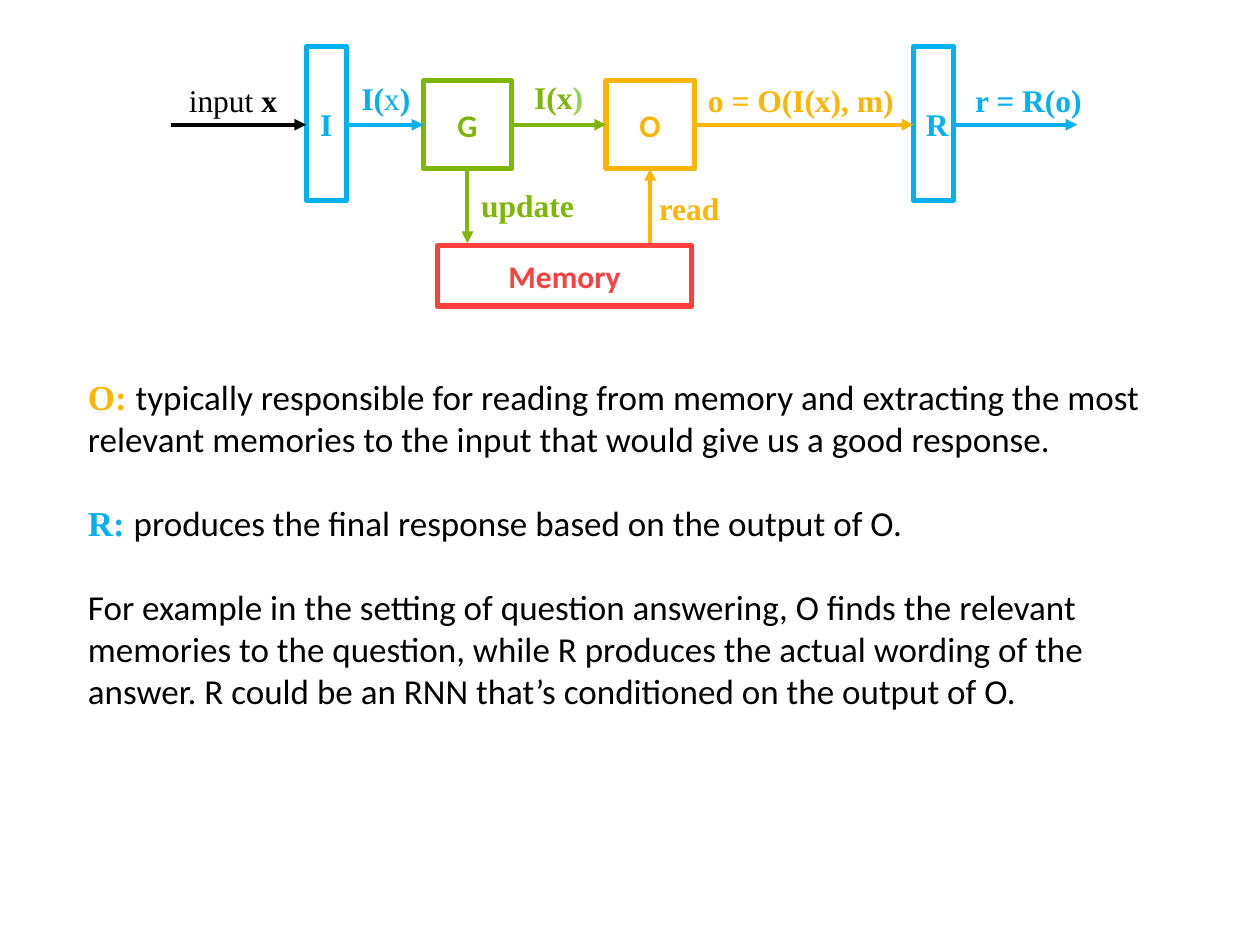
import lxml.etree
import pptx
import pptx.dml.color
import pptx.enum.shapes
import pptx.enum.text
import pptx.oxml.ns
import pptx.util
from pptx.util import Inches

RGBColor = pptx.dml.color.RGBColor
BLACK = RGBColor(0x00, 0x00, 0x00)
BLUE = RGBColor(0x00, 0xB0, 0xF0)
GREEN = RGBColor(0x7E, 0xB6, 0x06)
LIGHT_GREEN = RGBColor(0x92, 0xD0, 0x50)
ORANGE = RGBColor(0xFF, 0xB4, 0x00)
RED = RGBColor(0xFF, 0x40, 0x40)
SERIF = "Times New Roman"
SANS = "Calibri"
FLOW_Y = 0.99
MEMORY_Y = 1.93
MODULE_BOTTOM = 1.34


def add_span(para, text, color, bold, font_name, size):
    span = para.add_run()
    span.text = text
    span.font.name = font_name
    span.font.size = pptx.util.Pt(size)
    span.font.bold = bold
    span.font.color.rgb = color


deck = pptx.Presentation()
deck.slide_width = Inches(10)
deck.slide_height = Inches(7.5)
page = deck.slides.add_slide(deck.slide_layouts[6])

modules = [
    ("I", 2.43, 0.37, 0.32, 1.22, BLUE, SERIF),
    ("G", 3.36, 0.64, 0.7, 0.7, GREEN, SANS),
    ("O", 4.81, 0.64, 0.7, 0.7, ORANGE, SANS),
    ("R", 7.25, 0.37, 0.32, 1.22, BLUE, SERIF),
    ("Memory", 3.47, 1.95, 2.02, 0.48, RED, SANS),
]
for name, left, top, width, height, color, font_name in modules:
    box = page.shapes.add_shape(
        pptx.enum.shapes.MSO_SHAPE.RECTANGLE,
        Inches(left), Inches(top), Inches(width), Inches(height))
    box.shadow.inherit = False
    box.fill.background()
    box.line.color.rgb = color
    box.line.width = pptx.util.Pt(3)
    box.text_frame.word_wrap = True
    box.text_frame.vertical_anchor = pptx.enum.text.MSO_ANCHOR.MIDDLE
    para = box.text_frame.paragraphs[0]
    para.alignment = pptx.enum.text.PP_ALIGN.CENTER
    add_span(para, name, color, True, font_name, 18)

arrows = [
    (1.36, FLOW_Y, 2.43, FLOW_Y, BLACK),
    (2.75, FLOW_Y, 3.36, FLOW_Y, BLUE),
    (4.06, FLOW_Y, 4.81, FLOW_Y, GREEN),
    (5.51, FLOW_Y, 7.25, FLOW_Y, ORANGE),
    (7.57, FLOW_Y, 8.55, FLOW_Y, BLUE),
    (3.71, MODULE_BOTTOM, 3.71, MEMORY_Y, GREEN),
    (5.16, MEMORY_Y, 5.16, MODULE_BOTTOM, ORANGE),
]
for start_x, start_y, end_x, end_y, color in arrows:
    arrow = page.shapes.add_connector(
        pptx.enum.shapes.MSO_CONNECTOR.STRAIGHT,
        Inches(start_x), Inches(start_y), Inches(end_x), Inches(end_y))
    arrow.line.color.rgb = color
    arrow.line.width = pptx.util.Pt(2.25)
    properties = arrow.element.find(pptx.oxml.ns.qn("p:spPr"))
    outline = properties.find(pptx.oxml.ns.qn("a:ln"))
    lxml.etree.SubElement(outline, pptx.oxml.ns.qn("a:tailEnd"), type="triangle")
    lxml.etree.SubElement(properties, pptx.oxml.ns.qn("a:effectLst"))

labels = [
    (1.4, 0.59, 0.91, [("input", BLACK, False), (" x", BLACK, True)]),
    (2.77, 0.58, 0.59, [("I(", BLUE, True), ("x", BLUE, False), (")", BLUE, True)]),
    (4.14, 0.57, 0.59, [("I(x", GREEN, True), (")", LIGHT_GREEN, True)]),
    (5.52, 0.59, 1.69, [("o = O(I(x), m)", ORANGE, True)]),
    (7.64, 0.59, 1.06, [("r = R(o)", BLUE, True)]),
    (3.72, 1.43, 0.95, [("update", GREEN, True)]),
    (5.13, 1.45, 0.69, [("read", ORANGE, True)]),
]
for left, top, width, spans in labels:
    label = page.shapes.add_textbox(
        Inches(left), Inches(top), Inches(width), Inches(0.4))
    label.text_frame.word_wrap = False
    label.text_frame.auto_size = pptx.enum.text.MSO_AUTO_SIZE.SHAPE_TO_FIT_TEXT
    for text, color, bold in spans:
        add_span(label.text_frame.paragraphs[0], text, color, bold, SERIF, 18)

explanations = [
    ("O: ", ORANGE,
     "typically responsible for reading from memory and extracting the most "
     "relevant memories to the input that would give us a good response."),
    ("R: ", BLUE, "produces the final response based on the output of O."),
    ("", BLACK,
     "For example in the setting of question answering, O finds the relevant "
     "memories to the question, while R produces the actual wording of the "
     "answer. R could be an RNN that’s conditioned on the output of O."),
]
body = page.shapes.add_textbox(Inches(0.6), Inches(2.93), Inches(8.8), Inches(4.18))
body.text_frame.word_wrap = True
for index, (term, color, text) in enumerate(explanations):
    if index == 0:
        para = body.text_frame.paragraphs[0]
    else:
        para = body.text_frame.add_paragraph()
        para.space_before = pptx.util.Pt(24)
    para.line_spacing = pptx.util.Pt(24)
    if term:
        add_span(para, term, color, True, SERIF, 20)
    add_span(para, text, BLACK, False, SANS, 20)

deck.save("out.pptx")
